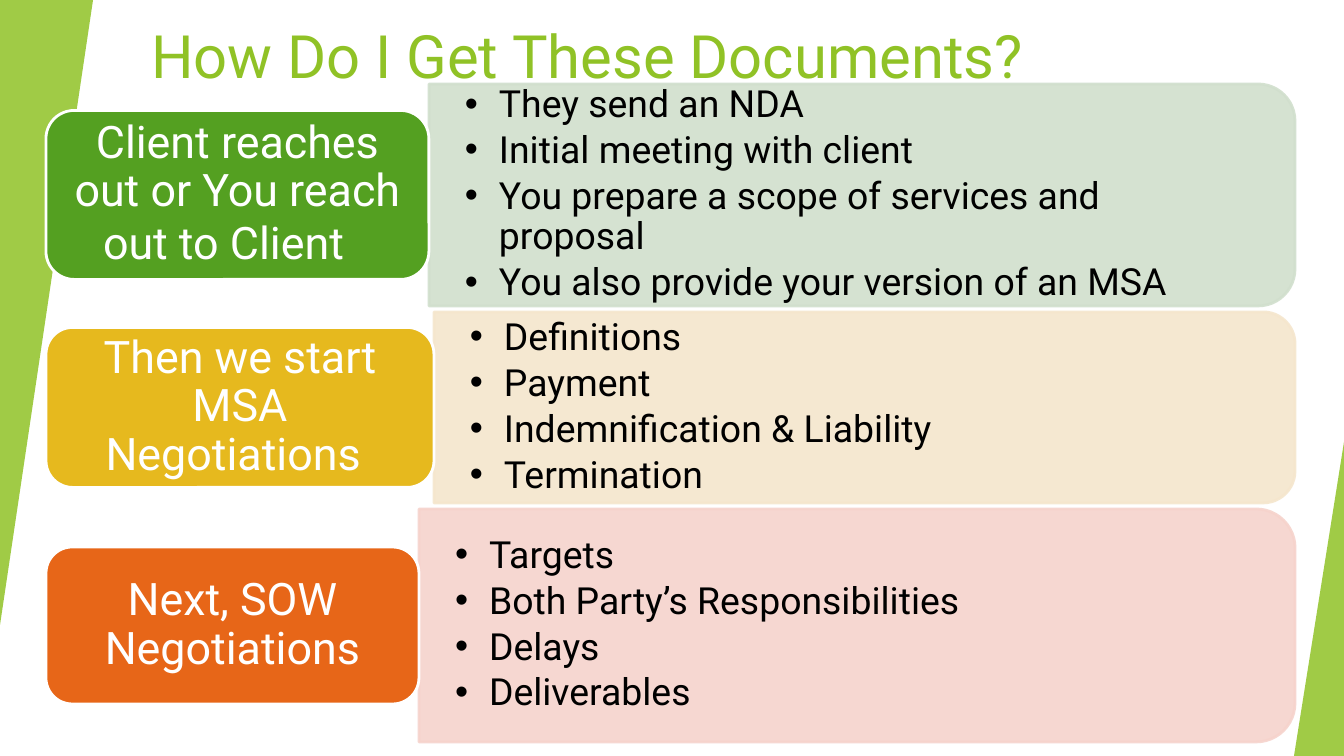
from lxml.etree import SubElement
from pptx import Presentation
from pptx.dml.color import RGBColor
from pptx.enum.shapes import MSO_SHAPE
from pptx.enum.text import MSO_ANCHOR, PP_ALIGN
from pptx.oxml.ns import qn
from pptx.util import Emu, Pt

SCALE = 914400 / 134.4  # EMU per px
FONT = "Roboto"

WHITE = RGBColor(0xFF, 0xFF, 0xFF)
BLACK = RGBColor(0x00, 0x00, 0x00)
LIME = RGBColor(0x90, 0xC2, 0x26)
GREEN = RGBColor(0x54, 0xA0, 0x21)
GOLD = RGBColor(0xE6, 0xB9, 0x1E)
ORANGE = RGBColor(0xE7, 0x66, 0x18)
PALE_GREEN = RGBColor(0xD1, 0xDF, 0xCD)
PALE_GOLD = RGBColor(0xF5, 0xE6, 0xCD)
PALE_RED = RGBColor(0xF6, 0xD3, 0xCC)

LABEL_LEFT = 46
PANEL_RIGHT = 1295

# Label runs (text, size), label colour and height;
# panel colour, left, top and height; bullet points
STEPS = [
    ([("Client reaches out or You reach out to Client", 24), ("\t", 27)],
     GREEN, 169, PALE_GREEN, 429, 84, 222,
     ["They send an NDA", "Initial meeting with client",
      "You prepare a scope of services and proposal",
      "You also provide your version of an MSA"]),
    ([("Then we start MSA Negotiations\t", 24)],
     GOLD, 160, PALE_GOLD, 434, 312, 191,
     ["Definitions", "Payment", "Indemnification & Liability",
      "Termination"]),
    ([("Next, SOW Negotiations", 24)],
     ORANGE, 157, PALE_RED, 419, 509, 233,
     ["Targets", "Both Party’s Responsibilities", "Delays",
      "Deliverables"]),
]


def px(length):
    return Emu(round(length * SCALE))


def set_font(font, size, color):
    font.name = FONT
    font.size = Pt(size)
    font.color.rgb = color


def set_alpha(color_format_parent, percent):
    color = next(color_format_parent.iter(qn("a:srgbClr")))
    SubElement(color, qn("a:alpha"), val=str(percent * 1000))


def add_shape(page, kind, left, top, width, height, fill, line=None):
    shape = page.shapes.add_shape(kind, px(left), px(top), px(width), px(height))
    shape.shadow.inherit = False
    shape.fill.solid()
    shape.fill.fore_color.rgb = fill
    if line is None:
        shape.line.fill.background()
    else:
        shape.line.color.rgb = line
        shape.line.width = Pt(1.5)
    return shape


def add_text_frame(page, left, top, width, height):
    box = page.shapes.add_textbox(px(left), px(top), px(width), px(height))
    box.text_frame.word_wrap = True
    return box.text_frame


def add_triangle(page, left, top, width, height, rotation=0):
    triangle = add_shape(page, MSO_SHAPE.ISOSCELES_TRIANGLE,
                         left, top, width, height, LIME)
    triangle.adjustments[0] = 1
    triangle.rotation = rotation
    set_alpha(triangle.fill._xPr.find(qn("a:solidFill")), 85)


def add_title(page, text):
    para = add_text_frame(page, 138, 12, 1124, 121).paragraphs[0]
    para.text = text
    set_font(para.font, 32, LIME)


def add_panel(page, left, top, height, color):
    # A quarter turn puts the two round corners on the right
    width = PANEL_RIGHT - left
    shift = (width - height) / 2
    panel = add_shape(page, MSO_SHAPE.ROUND_2_SAME_RECTANGLE,
                      left + shift, top - shift, height, width, color, color)
    panel.rotation = 90
    properties = panel.fill._xPr
    for part in (properties.find(qn("a:solidFill")), properties.find(qn("a:ln"))):
        set_alpha(part, 90)


def add_bullets(page, left, top, height, points):
    frame = add_text_frame(page, left, top + 10, PANEL_RIGHT - left - 11, height - 21)
    frame.vertical_anchor = MSO_ANCHOR.MIDDLE
    frame.margin_left = frame.margin_right = px(36)
    frame.margin_top = frame.margin_bottom = px(19)
    for index, point in enumerate(points):
        para = frame.add_paragraph() if index else frame.paragraphs[0]
        para.text = point
        para.line_spacing = 0.9
        para.space_after = Pt(3)
        properties = para._p.get_or_add_pPr()
        properties.set("marL", str(px(34)))
        properties.set("indent", str(-px(34)))
        SubElement(properties, qn("a:buFont"), typeface="Arial")
        SubElement(properties, qn("a:buChar"), char="•")
        set_font(para.font, 20, BLACK)


def add_label(page, top, width, height, color, runs):
    label = add_shape(page, MSO_SHAPE.ROUNDED_RECTANGLE,
                      LABEL_LEFT, top, width, height, color, WHITE)
    frame = label.text_frame
    frame.word_wrap = True
    frame.vertical_anchor = MSO_ANCHOR.MIDDLE
    para = frame.paragraphs[0]
    para.alignment = PP_ALIGN.CENTER
    para.line_spacing = 0.9
    for text, size in runs:
        span = para.add_run()
        span.text = text
        set_font(span.font, size, WHITE)


def main():
    deck = Presentation()
    deck.slide_width, deck.slide_height = px(1344), px(756)
    page = deck.slides.add_slide(deck.slide_layouts[6])

    # Title and side wedges
    add_title(page, "How Do I Get These Documents?")
    add_triangle(page, 0, 0, 93, 625, rotation=180)
    add_triangle(page, 1294, 442, 50, 314)

    # Steps: each label is centred on the height of its panel
    for runs, color, label_height, pale, left, top, height, points in STEPS:
        add_panel(page, left, top, height, pale)
        add_bullets(page, left, top, height, points)
        add_label(page, top + (height - label_height) / 2,
                  left - LABEL_LEFT, label_height, color, runs)

    deck.save("out.pptx")


if __name__ == "__main__":
    main()
